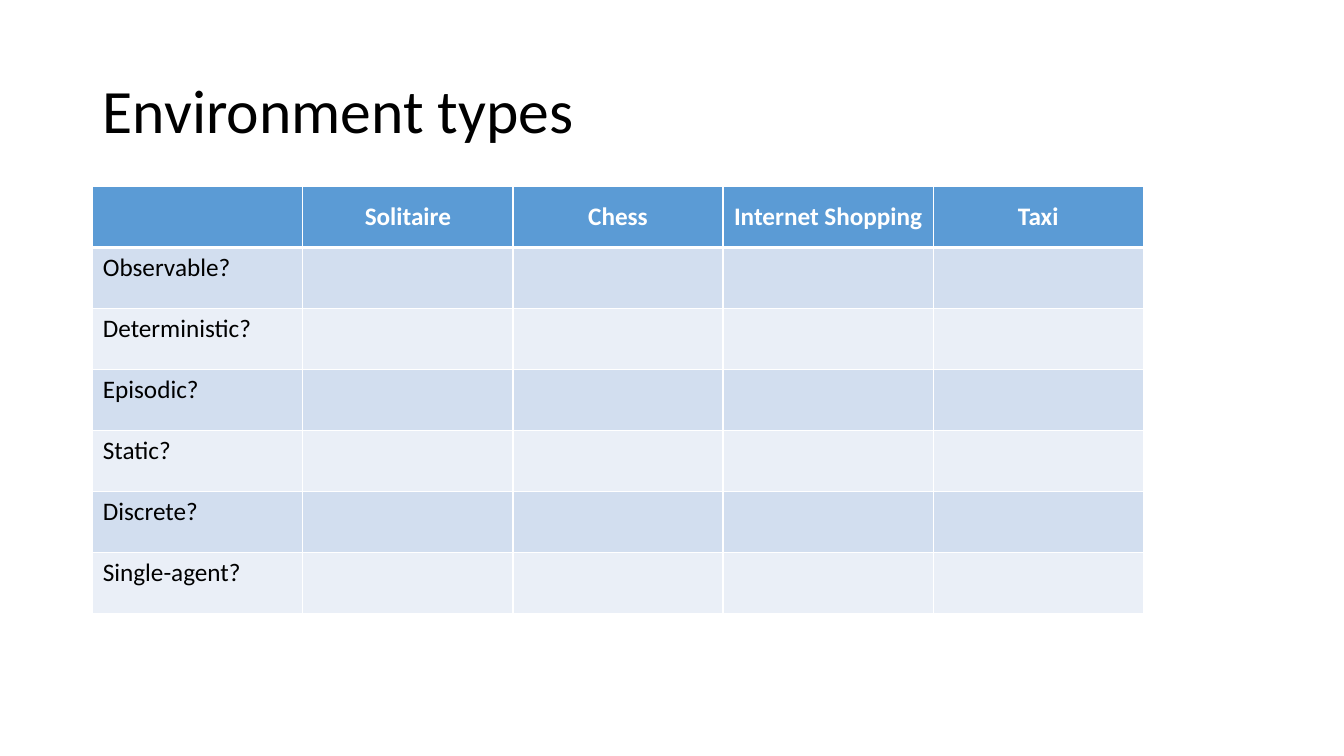
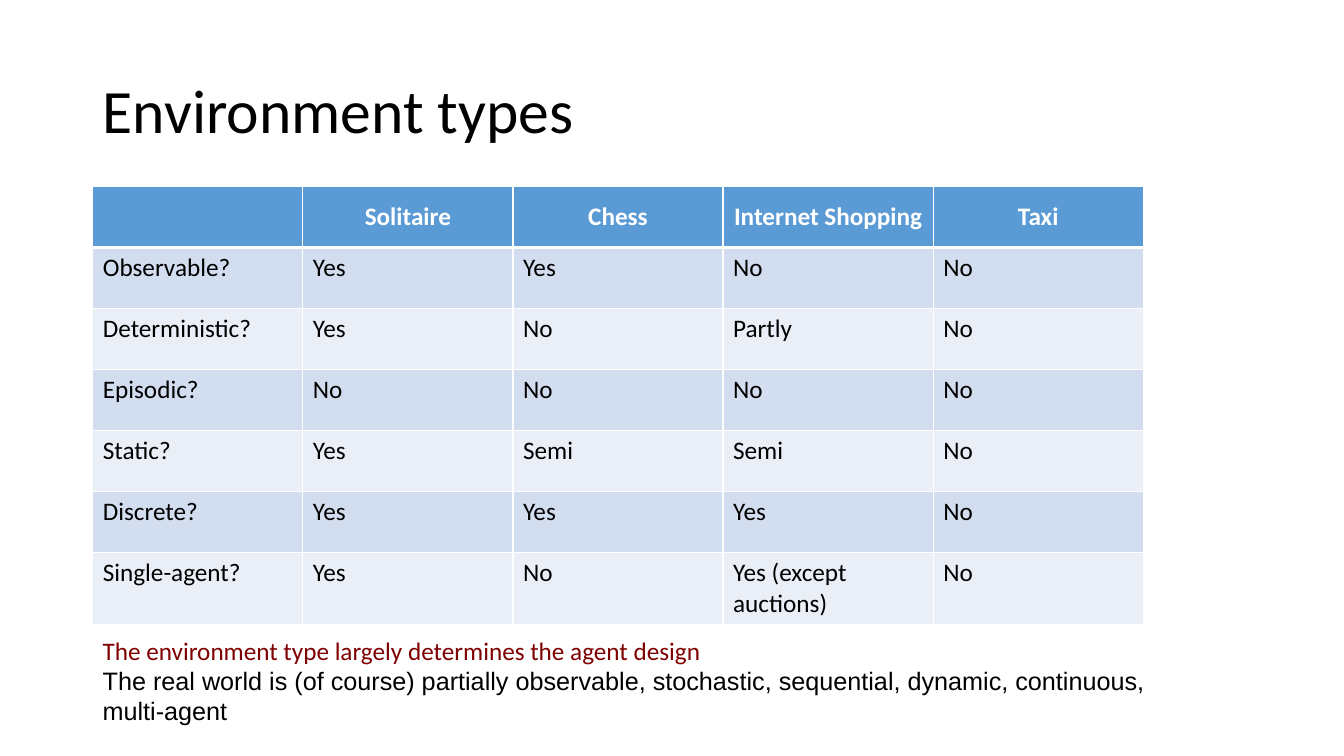
from dataclasses import dataclass

from lxml.etree import SubElement
from pptx import Presentation
from pptx.dml.color import RGBColor as RGB
from pptx.enum.text import MSO_ANCHOR as Anchor, MSO_AUTO_SIZE as AutoSize, PP_ALIGN as Align
from pptx.oxml.ns import qn
from pptx.util import Inches, Pt


@dataclass(frozen=True)
class Theme:
    heading_font: str = "Calibri"
    note_font: str = "Arial"
    title_size: int = 44
    body_size: int = 18
    ink: str = "000000"
    white: str = "FFFFFF"
    accent: str = "7F0000"
    header: str = "5B9BD5"
    bands: tuple = ("D2DEEF", "EAEFF7")
    thin: int = 1
    thick: int = 3


theme = Theme()


def add_run(paragraph, text, color=theme.ink, size=theme.body_size, font=theme.heading_font, bold=False):
    run = paragraph.add_run()
    run.text = text
    run.font.name = font
    run.font.size = Pt(size)
    run.font.bold = bold
    run.font.color.rgb = RGB.from_string(color)


def style_cell(cell, color, top, bottom):
    properties = cell._tc.get_or_add_tcPr()
    for side, width in (("L", theme.thin), ("R", theme.thin), ("T", top), ("B", bottom)):
        border = SubElement(properties, qn(f"a:ln{side}"), w=str(Pt(width)))
        SubElement(SubElement(border, qn("a:solidFill")), qn("a:srgbClr"), val=theme.white)
    cell.fill.solid()
    cell.fill.fore_color.rgb = RGB.from_string(color)


environments = ["", "Solitaire", "Chess", "Internet Shopping", "Taxi"]
answers = {
    "Observable?": ["Yes", "Yes", "No", "No"],
    "Deterministic?": ["Yes", "No", "Partly", "No"],
    "Episodic?": ["No", "No", "No", "No"],
    "Static?": ["Yes", "Semi", "Semi", "No"],
    "Discrete?": ["Yes", "Yes", "Yes", "No"],
    "Single-agent?": ["Yes", "No", "Yes (except auctions)", "No"],
}
conclusions = [
    ("The environment type largely determines the agent design", theme.accent, theme.heading_font),
    (
        "The real world is (of course) partially observable, stochastic, sequential, "
        "dynamic, continuous, multi-agent",
        theme.ink,
        theme.note_font,
    ),
]
left = Inches(0.92)

deck = Presentation()
deck.slide_width, deck.slide_height = Inches(13.33), Inches(7.5)
title_only = deck.slide_layouts[5]

for answered in (False, True):
    slide = deck.slides.add_slide(title_only)
    title = slide.shapes.title
    title.left, title.top, title.width, title.height = left, Inches(0.4), Inches(11.5), Inches(1.45)
    title.text_frame.auto_size = AutoSize.NONE
    title.text_frame.vertical_anchor = Anchor.MIDDLE
    heading = title.text_frame.paragraphs[0]
    heading.alignment = Align.LEFT
    heading.line_spacing = 0.9
    add_run(heading, "Environment types", size=theme.title_size)

    rows = [environments] + [
        [question] + (replies if answered else [""] * len(replies))
        for question, replies in answers.items()
    ]
    comparison = slide.shapes.add_table(
        len(rows), len(environments), left, Inches(1.85), Inches(10.42), Inches(4.24)
    ).table
    for row_index, row in enumerate(rows):
        is_header = row_index == 0
        fill = theme.header if is_header else theme.bands[(row_index - 1) % 2]
        top = theme.thick if row_index == 1 else theme.thin
        bottom = theme.thick if is_header else theme.thin
        for column_index, text in enumerate(row):
            cell = comparison.cell(row_index, column_index)
            style_cell(cell, fill, top, bottom)
            cell.vertical_anchor = Anchor.MIDDLE if is_header else Anchor.TOP
            entry = cell.text_frame.paragraphs[0]
            entry.alignment = Align.CENTER if is_header else Align.LEFT
            if text:
                add_run(entry, text, theme.white if is_header else theme.ink, bold=is_header)

    if answered:
        summary = slide.shapes.add_textbox(left, Inches(6.25), Inches(10.76), Inches(1.01)).text_frame
        summary.word_wrap = True
        summary.auto_size = AutoSize.SHAPE_TO_FIT_TEXT
        for index, (text, color, font) in enumerate(conclusions):
            line = summary.add_paragraph() if index else summary.paragraphs[0]
            add_run(line, text, color, font=font)

deck.save("out.pptx")
